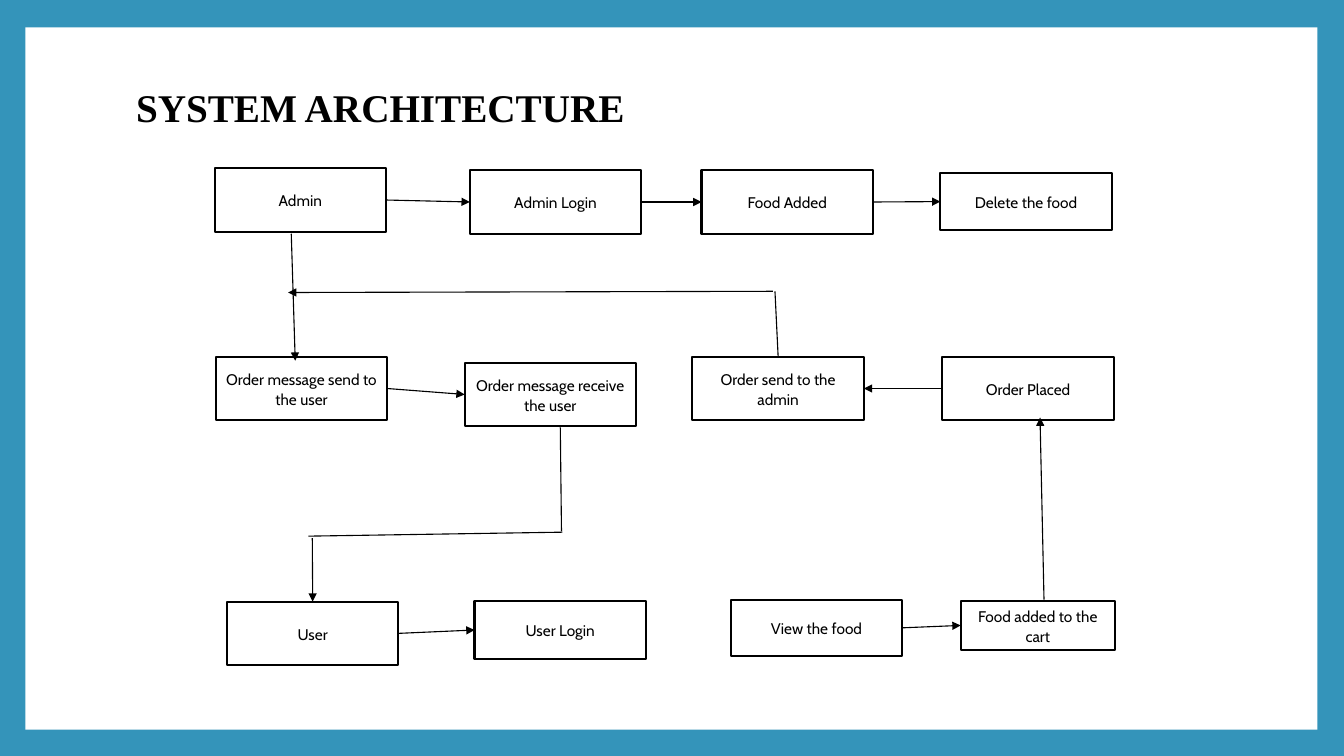
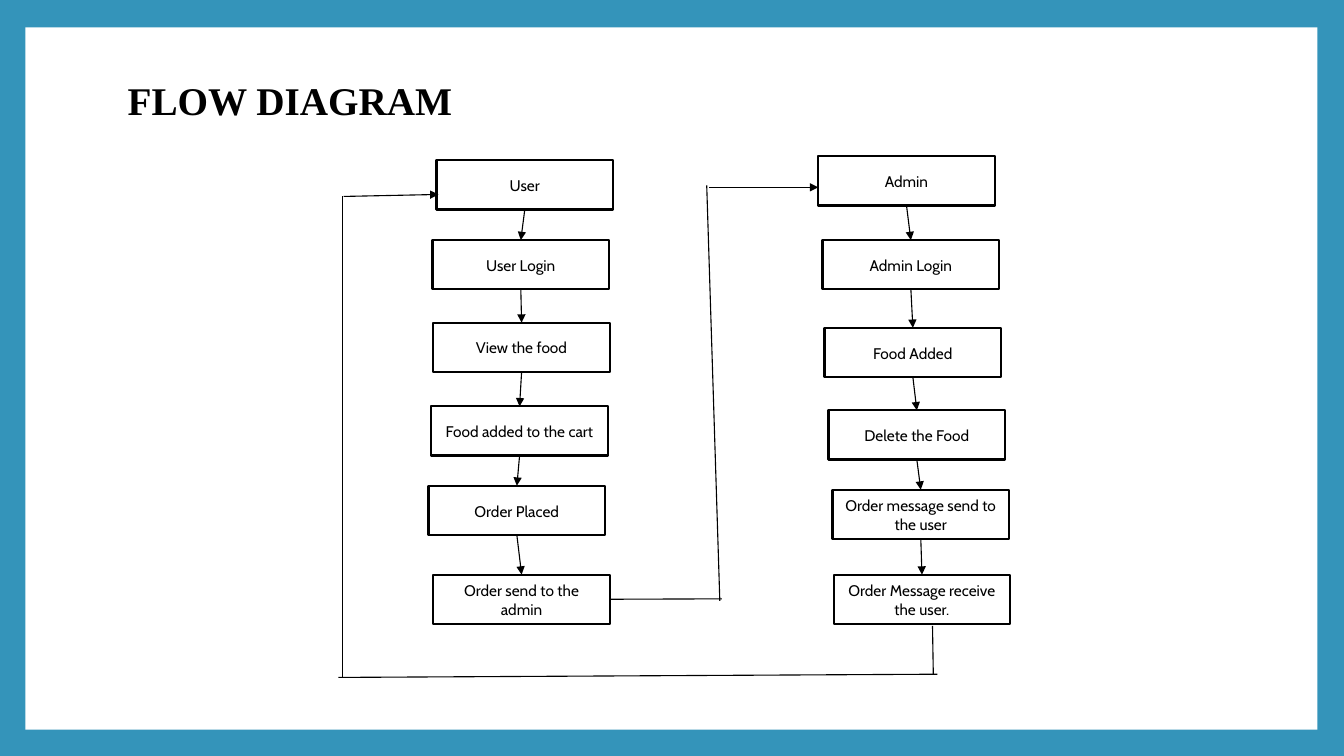
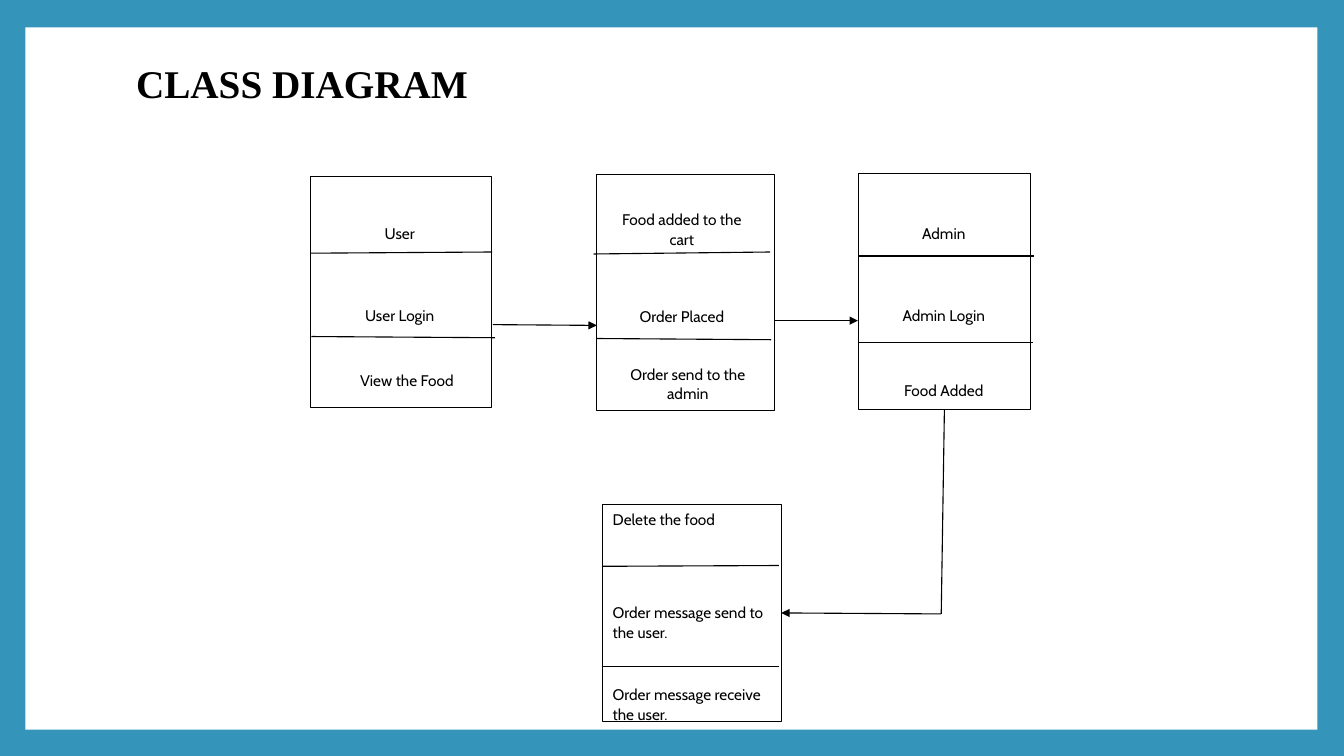
from itertools import pairwise

from lxml.etree import SubElement
from pptx import Presentation
from pptx.dml.color import RGBColor
from pptx.enum.shapes import MSO_CONNECTOR as Link, MSO_SHAPE as Preset
from pptx.enum.text import MSO_ANCHOR as Anchor, PP_ALIGN as Align
from pptx.oxml.ns import qn
from pptx.util import Cm, Pt

BLUE, WHITE, BLACK = "3494BA", "FFFFFF", "000000"
TOP, LEFT, BOTTOM, RIGHT = range(4)


def paint(target, color):
    """Give a fill one solid colour."""
    target.solid()
    target.fore_color.rgb = RGBColor.from_string(color)


def write(para, text, font="Cabin", size=11, bold=False, align=Align.LEFT,
          spacing=1.07, before=0, after=8):
    para.alignment = align
    para.line_spacing = spacing
    para.space_before, para.space_after = Pt(before), Pt(after)
    span = para.add_run()
    span.text = text
    span.font.name, span.font.size, span.font.bold = font, Pt(size), bold
    paint(span.font.fill, BLACK)


class Diagram:
    """Holds the deck, its style and the current page."""

    def __init__(self):
        self.deck = Presentation()
        self.deck.slide_width, self.deck.slide_height = Cm(33.87), Cm(19.05)
        paint(self.deck.slide_master.background.fill, BLUE)
        self.page = None

    def new_page(self, title, left, top, width, height, below=0.13):
        """Start a page; below is the space kept free under the title."""
        self.page = self.deck.slides.add_slide(self.deck.slide_layouts[6])
        self.box(0.64, 0.69, 32.56, 17.7, line=None)
        heading = self.page.shapes.add_textbox(
            Cm(left), Cm(top), Cm(width), Cm(height)).text_frame
        heading.word_wrap = True
        heading.vertical_anchor = Anchor.MIDDLE
        heading.margin_bottom = Cm(below)
        write(heading.paragraphs[0], title, font="Times New Roman", size=28,
              bold=True, spacing=0.9, after=0)

    def box(self, left, top, width, height, text="", line=BLACK, weight=1.5):
        box = self.page.shapes.add_shape(
            Preset.RECTANGLE, Cm(left), Cm(top), Cm(width), Cm(height))
        box.shadow.inherit = False
        paint(box.fill, WHITE)
        if line:
            paint(box.line.fill, line)
            box.line.width = Pt(weight)
        else:
            box.line.fill.background()
        if text:
            box.text_frame.vertical_anchor = Anchor.MIDDLE
            write(box.text_frame.paragraphs[0], text, align=Align.CENTER)
        return box

    def line(self, start, end, arrow=False):
        """Each end is a point (x, y) or a joined side (box, side)."""
        joined = [not isinstance(stop[0], (int, float)) for stop in (start, end)]
        points = [(0, 0) if join else (Cm(stop[0]), Cm(stop[1]))
                  for stop, join in zip((start, end), joined)]
        line = self.page.shapes.add_connector(
            Link.STRAIGHT, *points[0], *points[1])
        if joined[0]:
            line.begin_connect(*start)
        if joined[1]:
            line.end_connect(*end)
        paint(line.line.fill, BLACK)
        line.line.width = Pt(0.79)
        outline = line.line._get_or_add_ln()
        if arrow:
            SubElement(outline, qn("a:tailEnd"), type="triangle")
        SubElement(outline.getparent(), qn("a:effectLst"))

    def arrow(self, start, end):
        self.line(start, end, arrow=True)


def system_architecture(diagram):
    diagram.new_page("SYSTEM ARCHITECTURE", 3.18, 1.7, 27.43, 3.15, below=1.15)

    def step(text, left, top, width=4.32, height=1.6):
        return diagram.box(left, top, width, height, text)

    # Admin row
    admin = step("Admin", 5.41, 4.24)
    admin_login = step("Admin Login", 11.84, 4.29)
    food_added = step("Food Added", 17.68, 4.29)
    delete_food = step("Delete the food", 23.7, 4.37, height=1.42)
    # Order row
    message_sent = step("Order message send to the user", 5.44, 8.99)
    message_received = step("Order message receive the user", 11.71, 9.14)
    order_sent = step("Order send to the admin", 17.45, 8.99)
    order_placed = step("Order Placed", 23.75, 8.99)
    # User row
    user = step("User", 5.72, 15.16)
    user_login = step("User Login", 11.96, 15.14, height=1.47)
    view_food = step("View the food", 18.42, 15.11, height=1.42)
    cart = step("Food added to the cart", 24.21, 15.14, 3.89, 1.24)

    # Arrows along the rows
    for source, target in [(admin, admin_login), (admin_login, food_added),
                           (food_added, delete_food), (user, user_login),
                           (view_food, cart), (message_sent, message_received)]:
        diagram.arrow((source, RIGHT), (target, LEFT))
    diagram.arrow((order_placed, LEFT), (order_sent, RIGHT))
    # Arrows between the rows
    diagram.arrow((26.31, 15.11), (26.21, 10.52))
    diagram.arrow((7.34, 5.89), (7.44, 9.09))
    diagram.line((19.53, 7.34), (order_sent, TOP))
    diagram.arrow((19.48, 7.34), (7.26, 7.37))
    diagram.line((14.12, 10.77), (14.15, 13.39))
    diagram.line((7.77, 13.51), (14.17, 13.41))
    diagram.arrow((7.87, 13.56), (user, TOP))


def flow_diagram(diagram):
    diagram.new_page("FLOW DIAGRAM", 2.97, 1.7, 27.64, 1.8)

    def chain(steps):
        boxes = [diagram.box(left, top, 4.45, 1.24, text)
                 for text, left, top in steps]
        for upper, lower in pairwise(boxes):
            diagram.arrow((upper, BOTTOM), (lower, TOP))
        return boxes

    # User and admin columns
    user_steps = chain([
        ("User", 11, 4.04), ("User Login", 10.9, 6.05),
        ("View the food", 10.92, 8.13), ("Food added to the cart", 10.87, 10.24),
        ("Order Placed", 10.8, 12.24), ("Order send to the admin", 10.92, 14.48)])
    chain([
        ("Admin", 20.62, 3.94), ("Admin Login", 20.73, 6.05),
        ("Food Added", 20.78, 8.26), ("Delete the Food", 20.88, 10.34),
        ("Order message send to the user", 20.98, 12.34),
        ("Order Message receive the user.", 21.01, 14.48)])

    # From the last user step to the admin
    diagram.line((user_steps[-1], RIGHT), (18.19, 15.09))
    diagram.line((18.14, 15.14), (17.81, 4.67))
    diagram.arrow((17.88, 4.72), (20.62, 4.72))
    # From the last admin step back to the user
    diagram.line((23.5, 15.77), (23.52, 16.99))
    diagram.line((8.53, 17.07), (23.62, 16.99))
    diagram.line((8.64, 17.07), (8.64, 4.95))
    diagram.arrow((8.66, 4.95), (11.05, 4.9))


def class_diagram(diagram):
    diagram.new_page("CLASS DIAGRAM", 3.18, 1.35, 27.43, 2.64, below=1.15)

    # Class outlines
    outlines = [(15.04, 4.39, 4.47, 5.94), (7.82, 4.45, 4.57, 5.82),
                (21.64, 4.37, 4.32, 5.94), (15.19, 12.7, 4.5, 5.49)]
    _, _, admin, messages = [diagram.box(*outline, weight=0.5)
                             for outline in outlines]

    # Labels
    for text, left, top, height in [
            ("User", 8.08, 5.46, 0.79), ("User Login", 8.08, 7.54, 0.79),
            ("View the Food", 8.26, 9.12, 0.89),
            ("Food added to the cart", 15.19, 5.26, 0.99),
            ("Order Placed", 15.19, 7.57, 0.79),
            ("Order send to the admin", 15.34, 9.12, 1.07),
            ("Admin", 21.79, 5.46, 0.79), ("Admin Login", 21.79, 7.54, 0.79),
            ("Food Added", 21.79, 9.47, 0.69)]:
        diagram.box(left, top, 3.99, height, text, line=WHITE)

    # Message class text
    frame = messages.text_frame
    frame.vertical_anchor = Anchor.TOP
    write(frame.paragraphs[0], "Delete the food")
    write(frame.add_paragraph(), "Order message send to the user.", before=44.5)
    write(frame.add_paragraph(), "Order message receive the user.", before=22.25)

    # Dividers
    for start, end in [((7.82, 6.38), (12.4, 6.35)), ((7.85, 8.48), (12.47, 8.51)),
                       ((14.96, 6.4), (19.41, 6.35)), ((15.04, 8.53), (19.43, 8.56)),
                       ((21.64, 6.45), (26.06, 6.45)), ((21.64, 8.64), (26.04, 8.64)),
                       ((15.19, 14.27), (19.63, 14.25)),
                       ((15.19, 16.79), (19.63, 16.79))]:
        diagram.line(start, end)

    # Arrows between classes
    diagram.arrow((12.42, 8.18), (15.04, 8.2))
    diagram.arrow((19.53, 8.08), (21.62, 8.08))
    diagram.line((admin, BOTTOM), (23.72, 15.47))
    diagram.arrow((23.72, 15.47), (messages, RIGHT))


def main():
    diagram = Diagram()
    system_architecture(diagram)
    flow_diagram(diagram)
    class_diagram(diagram)
    diagram.deck.save("out.pptx")


if __name__ == "__main__":
    main()
